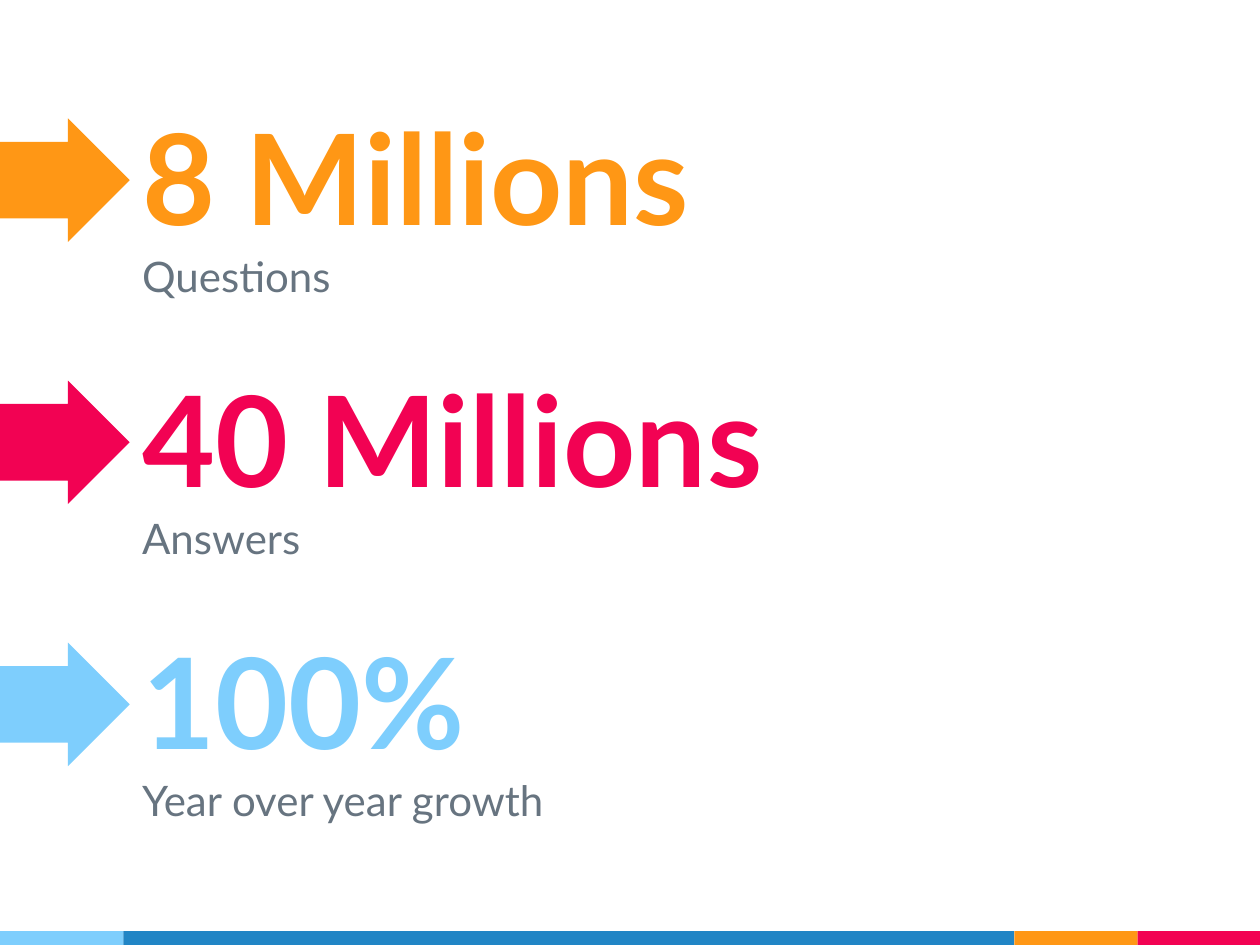
from dataclasses import dataclass

import pptx
import pptx.dml.color
import pptx.enum.shapes
import pptx.enum.text
import pptx.util

Inches = pptx.util.Inches
Anchor = pptx.enum.text.MSO_ANCHOR
Preset = pptx.enum.shapes.MSO_SHAPE


@dataclass(frozen=True)
class Theme:
    font: str = "Lato"
    figure_size: int = 72
    label_size: int = 24
    orange: str = "FF9715"
    pink: str = "F20253"
    sky: str = "7ECEFD"
    blue: str = "2185C5"
    gray: str = "677480"


class SlideBuilder:
    def __init__(self, slide, theme):
        self.slide = slide
        self.theme = theme

    def block(self, preset, left, top, width, height, color):
        block = self.slide.shapes.add_shape(
            preset, Inches(left), Inches(top), Inches(width), Inches(height))
        block.shadow.inherit = False
        block.fill.solid()
        block.fill.fore_color.rgb = pptx.dml.color.RGBColor.from_string(color)
        block.line.fill.background()
        return block

    def arrow(self, left, top, width, height, color):
        arrow = self.block(Preset.RIGHT_ARROW, left, top, width, height, color)
        arrow.adjustments[0] = 0.62
        arrow.adjustments[1] = 0.5

    def text(self, wording, left, top, width, height, size, color,
             bold=False, anchor=Anchor.TOP):
        box = self.slide.shapes.add_textbox(
            Inches(left), Inches(top), Inches(width), Inches(height))
        frame = box.text_frame
        frame.word_wrap = True
        frame.vertical_anchor = anchor
        frame.margin_left = frame.margin_right = Inches(0.1)
        frame.margin_top = frame.margin_bottom = Inches(0.1)
        frame.text = wording
        font = frame.paragraphs[0].runs[0].font
        font.name = self.theme.font
        font.size = pptx.util.Pt(size)
        font.bold = bold
        font.color.rgb = pptx.dml.color.RGBColor.from_string(color)


def main():
    theme = Theme()
    deck = pptx.Presentation()
    deck.slide_width, deck.slide_height = Inches(10), Inches(7.5)
    builder = SlideBuilder(deck.slides.add_slide(deck.slide_layouts[6]), theme)

    # Color strip along the bottom edge
    strip_left = 0
    for width, color in ((0.98, theme.sky), (7.07, theme.blue),
                         (0.98, theme.orange), (0.97, theme.pink)):
        builder.block(Preset.RECTANGLE, strip_left, 7.39, width, 0.11, color)
        strip_left += width

    # Key figures, each with an arrow and a label
    figures = (
        ("8 Millions", "Questions", theme.orange),
        ("40 Millions", "Answers", theme.pink),
        ("100%", "Year over year growth", theme.sky),
    )
    figure_top, figure_pitch = 0.78, 2.08
    text_left, text_width = 1.03, 8.22
    for row, (figure, label, color) in enumerate(figures):
        top = figure_top + row * figure_pitch
        builder.text(figure, text_left, top, text_width, 1.31,
                     theme.figure_size, color, bold=True, anchor=Anchor.BOTTOM)
        builder.text(label, text_left, top + 1.11, text_width, 0.68,
                     theme.label_size, theme.gray)
        builder.arrow(0, top + 0.16, text_left, 0.98, color)

    deck.save("out.pptx")


if __name__ == "__main__":
    main()
